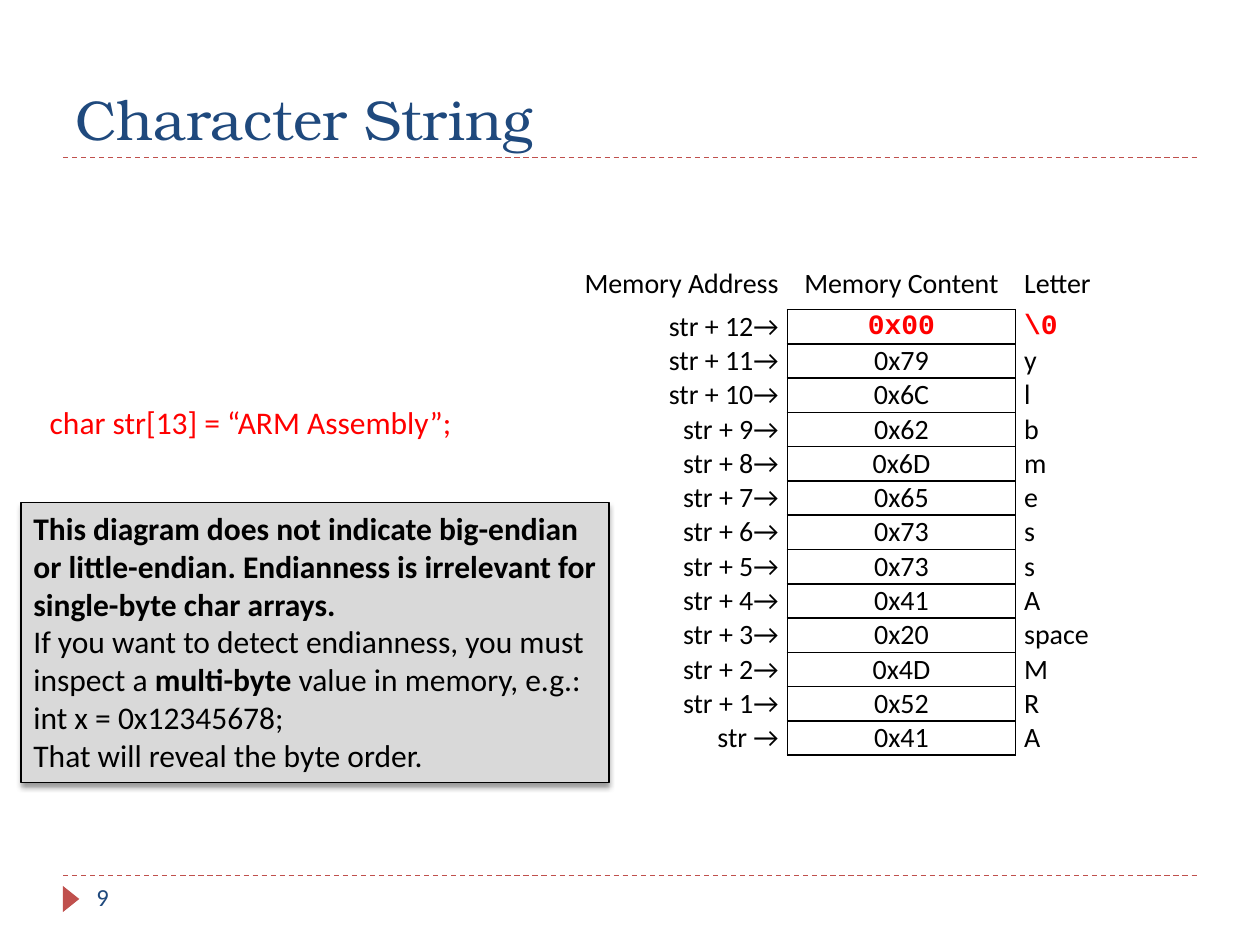
from lxml.etree import SubElement
from pptx import Presentation
from pptx.dml.color import RGBColor
from pptx.enum.dml import MSO_LINE
from pptx.enum.shapes import MSO_CONNECTOR, MSO_SHAPE
from pptx.enum.text import MSO_ANCHOR, PP_ALIGN
from pptx.oxml import parse_xml
from pptx.oxml.ns import nsdecls, qn
from pptx.util import Pt

BLACK = RGBColor(0x00, 0x00, 0x00)
RED = RGBColor(0xFF, 0x00, 0x00)
NAVY = RGBColor(0x1F, 0x49, 0x7D)
BRICK = RGBColor(0xC0, 0x50, 0x4D)
GRAY = RGBColor(0xD9, 0xD9, 0xD9)

NO_STYLE = "{2D5ABB26-0587-4C30-8999-92F81FD0307C}"
TEXT = "ARM Assembly"
ALIGNS = (PP_ALIGN.RIGHT, PP_ALIGN.CENTER, PP_ALIGN.LEFT)
COL_WIDTHS = (149.8, 130.3, 68.4)
HEADER_HEIGHT, ROW_HEIGHT = 29.5, 19.6

BODY = {"name": "Calibri", "size": Pt(16), "bold": False}
TERMINATOR = {"name": "Courier New", "size": Pt(16), "bold": True}
NOTE = {"name": "Calibri", "size": Pt(18), "bold": False}
STRONG = {**NOTE, "bold": True}


def add_run(p, text, fmt, color=BLACK):
    r = p.add_run()
    r.text = text
    for key, value in fmt.items():
        setattr(r.font, key, value)
    r.font.color.rgb = color


def add_text(s, box, text, fmt, color, **frame):
    sp = s.shapes.add_textbox(*map(Pt, box))
    tf = sp.text_frame
    for key, value in {"word_wrap": True, **frame}.items():
        setattr(tf, key, value)
    add_run(tf.paragraphs[0], text, fmt, color)
    return tf.paragraphs[0]


def add_rule(s, y):
    line = s.shapes.add_connector(MSO_CONNECTOR.STRAIGHT, Pt(36), Pt(y), Pt(684), Pt(y))
    line.line.color.rgb = BRICK
    line.line.width = Pt(0.75)
    line.line.dash_style = MSO_LINE.DASH
    SubElement(line._element.spPr, qn("a:effectLst"))


def add_marker(s):
    sp = s.shapes.add_shape(MSO_SHAPE.ISOSCELES_TRIANGLE, Pt(33.1), Pt(509), Pt(15), Pt(9.4))
    sp.rotation = 90
    sp.shadow.inherit = False
    sp.fill.solid()
    sp.fill.fore_color.rgb = BRICK
    sp.line.fill.background()


def add_note(s, box, paragraphs):
    sp = s.shapes.add_shape(MSO_SHAPE.RECTANGLE, *map(Pt, box))
    sp.fill.solid()
    sp.fill.fore_color.rgb = GRAY
    sp.line.color.rgb = BLACK
    sp.line.width = Pt(0.75)
    sp._element.spPr.append(parse_xml(
        f'<a:effectLst {nsdecls("a")}><a:outerShdw blurRad="{Pt(3)}" dist="{Pt(2)}" '
        'dir="5400000" rotWithShape="0"><a:srgbClr val="000000">'
        '<a:alpha val="40000"/></a:srgbClr></a:outerShdw></a:effectLst>'))
    tf = sp.text_frame
    tf.word_wrap = True
    tf.vertical_anchor = MSO_ANCHOR.TOP
    for i, runs in enumerate(paragraphs):
        p = tf.add_paragraph() if i else tf.paragraphs[0]
        p.alignment = PP_ALIGN.LEFT
        for text, fmt in runs:
            add_run(p, text, fmt)


def set_borders(cell, sides):
    tcPr = cell._tc.get_or_add_tcPr()
    for i, side in enumerate(sides):
        tcPr.insert(i, parse_xml(
            f'<a:ln{side} {nsdecls("a")} w="{Pt(1)}"><a:solidFill>'
            f'<a:srgbClr val="{BLACK}"/></a:solidFill></a:ln{side}>'))


def fill_cell(cell, text, align, fmt, color, sides):
    margins = {"margin_left": Pt(5), "margin_right": Pt(5), "margin_top": 0, "margin_bottom": 0}
    for key, value in {**margins, "vertical_anchor": MSO_ANCHOR.MIDDLE}.items():
        setattr(cell, key, value)
    cell.fill.background()
    set_borders(cell, sides)
    p = cell.text_frame.paragraphs[0]
    p.alignment = align
    add_run(p, text, fmt, color)


def memory_rows():
    rows = [("Memory Address", "Memory Content", "Letter"),
            (f"str + {len(TEXT)}→", "0x00", "\\0")]
    for i, letter in reversed(list(enumerate(TEXT))):
        address = f"str + {i}→" if i else "str →"
        rows.append((address, f"0x{ord(letter):02X}", "space" if letter == " " else letter))
    return rows


def add_memory_table(s):
    rows = memory_rows()
    height = HEADER_HEIGHT + ROW_HEIGHT * (len(rows) - 1)
    frame = s.shapes.add_table(len(rows), 3, Pt(300.2), Pt(147.4), Pt(sum(COL_WIDTHS)), Pt(height))
    table = frame.table
    table.first_row = table.horz_banding = False
    table._tbl.tblPr.find(qn("a:tableStyleId")).text = NO_STYLE
    for column, width in zip(table.columns, COL_WIDTHS):
        column.width = Pt(width)
    for i, row in enumerate(rows):
        table.rows[i].height = Pt(ROW_HEIGHT if i else HEADER_HEIGHT)
        borders = ("R", "LRTB", "L") if i else ("", "B", "")
        for j, text in enumerate(row):
            special = i == 1 and j > 0
            fill_cell(table.cell(i, j), text, ALIGNS[j], TERMINATOR if special else BODY,
                      RED if special else BLACK, borders[j])


def main():
    prs = Presentation()
    prs.slide_width, prs.slide_height = Pt(720), Pt(540)
    s = prs.slides.add_slide(prs.slide_layouts[6])
    for y in (500.4, 90):
        add_rule(s, y)
    add_marker(s)
    add_text(s, (36, 12, 648, 78), "Character String",
             {"name": "TeX Gyre Bonum", "size": Pt(32)}, NAVY, vertical_anchor=MSO_ANCHOR.BOTTOM)
    add_text(s, (48, 500.4, 156, 28.8), "9", {"name": "Calibri", "size": Pt(14)}, NAVY)
    add_memory_table(s)
    p = add_text(s, (18, 227, 250.5, 29), "char str[13] = “ARM Assembly”;", NOTE, RED,
                 word_wrap=False)
    p.alignment = PP_ALIGN.CENTER
    add_note(s, (12, 287.3, 336, 160), [
        [("This diagram does not indicate big-endian or little-endian. "
          "Endianness is irrelevant for single-byte char arrays.", STRONG)],
        [("If you want to detect endianness, you must inspect a ", NOTE),
         ("multi-byte", STRONG), (" value in memory, e.g.:", NOTE)],
        [("int x = 0x12345678;", NOTE)],
        [("That will reveal the byte order.", NOTE)],
    ])
    prs.save("out.pptx")


if __name__ == "__main__":
    main()
